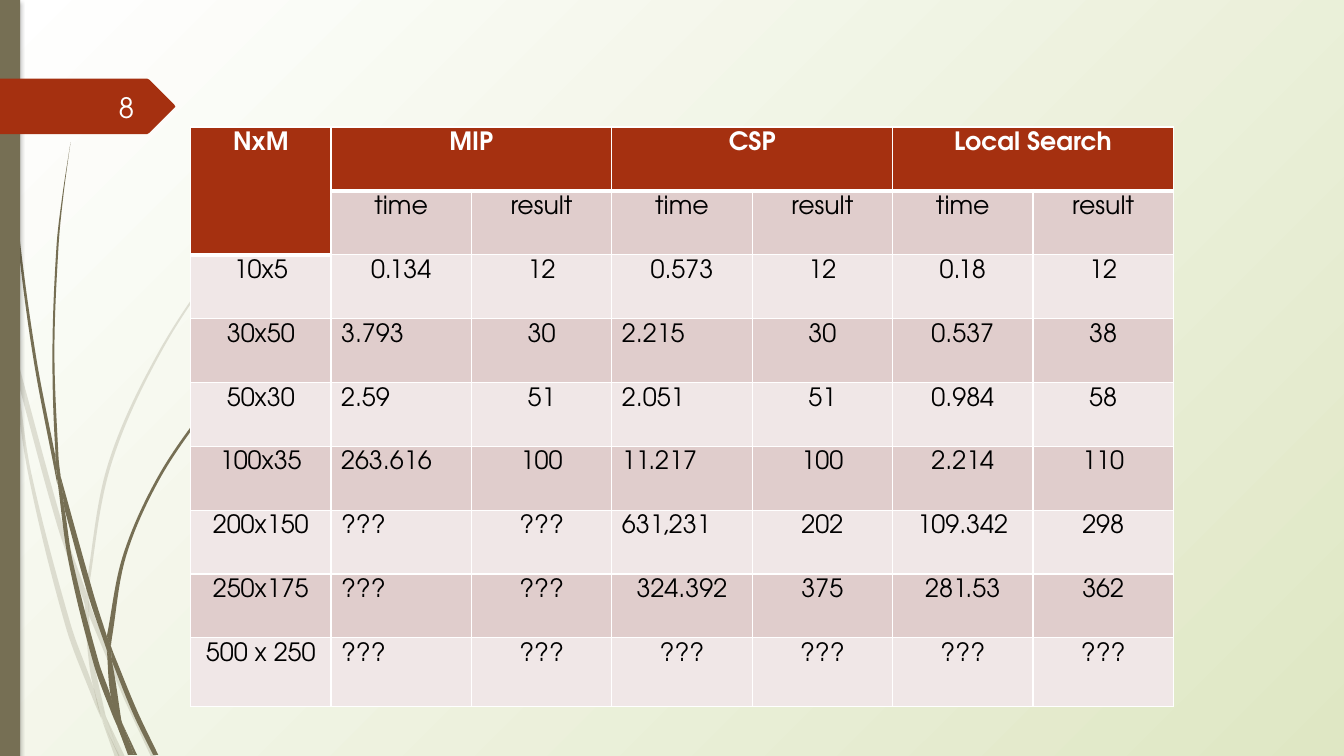
from dataclasses import dataclass
from math import dist

from lxml import etree
from pptx import Presentation
from pptx.dml.color import RGBColor
from pptx.enum.shapes import MSO_SHAPE
from pptx.enum.text import MSO_ANCHOR, PP_ALIGN
from pptx.oxml.ns import qn
from pptx.util import Inches, Pt

RECTANGLE = MSO_SHAPE.RECTANGLE
MIDDLE = MSO_ANCHOR.MIDDLE
LEFT, CENTER, RIGHT = PP_ALIGN.LEFT, PP_ALIGN.CENTER, PP_ALIGN.RIGHT

FONT = "TeX Gyre Adventor"
OLIVE, RUST, WHITE, BLACK = "766F54", "A53010", "FFFFFF", "000000"
BANDS = ("F0E7E7", "E0CDCC")
THIN, THICK = 0.96, 3

Point = tuple[float, float]
Edge = list[Point]


@dataclass
class Stem:
    up: Edge
    down: Edge


PALE_STEMS = [
    Stem([(0.11, 3.5), (0.08, 3.22), (0, 2.82)], [(0, 2.99), (0.1, 3.44), (0.11, 3.5)]),
    Stem([(0.85, 5.86), (0.62, 5.2), (0.14, 3.45)], [(0.17, 3.76), (0.57, 5.22), (0.84, 5.99)]),
    Stem([(1.55, 7.51), (1.27, 6.91), (0.92, 6.07), (0.88, 5.96)],
         [(0.88, 6.1), (1.23, 6.93), (1.5, 7.51)]),
    Stem([(1.24, 7.51), (1.05, 7.11)], [(1.05, 7.11), (1.19, 7.51)]),
    Stem([(1.01, 7.14), (0.93, 6.83), (0.7, 6.19), (0.31, 4.69), (0.17, 3.76), (0.11, 3.5)],
         [(0.11, 3.5), (0.28, 4.7), (0.65, 6.21), (0.92, 6.93), (1.01, 7.14)]),
    Stem([(1.05, 7.11), (0.91, 6.46), (0.88, 6.1), (0.84, 5.99)],
         [(0.84, 5.99), (0.87, 6.46), (0.93, 6.83), (1.05, 7.11)]),
    Stem([(0.88, 5.96), (0.88, 5.84), (1.1, 4.62), (1.6, 3.49), (2.29, 2.45), (2.68, 1.98),
          (3.12, 1.53)],
         [(3.12, 1.53), (2.68, 1.97), (2.28, 2.44), (1.58, 3.48), (1.07, 4.61), (0.85, 5.84)]),
    Stem([(1.19, 7.51), (1.01, 7.14)], [(1.01, 7.14), (1.14, 7.51)]),
    Stem([(0.88, 6.1), (0.88, 5.96), (0.85, 5.86)], [(0.84, 5.99), (0.88, 6.08)]),
    Stem([(1.19, 7.51), (1.05, 7.11), (0.96, 6.92), (0.93, 6.83)],
         [(0.93, 6.83), (0.99, 7.07), (1.18, 7.51)]),
]
DARK_STEMS = [
    Stem([(0.55, 4.53), (0.36, 3.55), (0.19, 2.32), (0.08, 1.09), (0.05, 0.48), (0.04, 0)],
         [(0.03, 0), (0.04, 0.48), (0.07, 1.1), (0.17, 2.33), (0.33, 3.55), (0.56, 4.76),
          (0.57, 4.81)]),
    Stem([(1.06, 6.31), (0.93, 5.9), (0.6, 4.72)], [(0.64, 5.05), (0.88, 5.92), (1.06, 6.45)]),
    Stem([(1.57, 7.49), (1.36, 7.05), (1.13, 6.49), (1.1, 6.41)],
         [(1.11, 6.56), (1.32, 7.08), (1.52, 7.49)]),
    Stem([(1.16, 7.17), (1.1, 6.91), (0.98, 6.57), (0.72, 5.56), (0.64, 5.05), (0.57, 4.77)],
         [(0.57, 4.77), (0.68, 5.57), (0.93, 6.59), (1.11, 7.08), (1.17, 7.22)]),
    Stem([(0.6, 4.72), (0.58, 4.53), (0.54, 3.49), (0.58, 2.45), (0.63, 1.93), (0.7, 1.41)],
         [(0.7, 1.41), (0.62, 1.93), (0.56, 2.45), (0.52, 3.49), (0.55, 4.49), (0.6, 4.72)]),
    Stem([(1.36, 7.49), (1.22, 7.19)], [(1.22, 7.19), (1.33, 7.49)]),
    Stem([(0.64, 5.05), (0.6, 4.72), (0.55, 4.49)], [(0.55, 4.53), (0.57, 4.77), (0.64, 5.05)]),
    Stem([(1.1, 6.41), (1.11, 6.33), (1.25, 5.52), (1.58, 4.76), (2.05, 4.06), (2.31, 3.74),
          (2.61, 3.44)],
         [(2.6, 3.44), (2.31, 3.73), (2.03, 4.05), (1.56, 4.74), (1.22, 5.51), (1.06, 6.31)]),
    Stem([(1.31, 7.49), (1.17, 7.22)], [(1.17, 7.22), (1.27, 7.49)]),
    Stem([(1.21, 7.19), (1.11, 6.56), (1.06, 6.45)], [(1.06, 6.45), (1.1, 6.91), (1.21, 7.19)]),
    Stem([(1.11, 6.56), (1.1, 6.41), (1.06, 6.31)], [(1.06, 6.45), (1.11, 6.56)]),
    Stem([(1.33, 7.49), (1.22, 7.19), (1.1, 6.91)], [(1.1, 6.91), (1.17, 7.22), (1.3, 7.49)]),
]
PAGE_TAG = [(0, 0.78), (1.46, 0.78), (1.48, 0.79), (1.73, 1.04), (1.74, 1.06), (1.73, 1.07),
            (1.48, 1.32), (1.46, 1.33), (0, 1.33)]

RESULTS = [
    ["NxM", "MIP", "", "CSP", "", "Local Search", ""],
    ["", *["time", "result"] * 3],
    ["10x5", "0.134", "12", "0.573", "12", "0.18", "12"],
    ["30x50", "3.793", "30", "2.215", "30", "0.537", "38"],
    ["50x30", "2.59", "51", "2.051", "51", "0.984", "58"],
    ["100x35", "263.616", "100", "11.217", "100", "2.214", "110"],
    ["200x150", "???", "???", "631,231", "202", "109.342", "298"],
    ["250x175", "???", "???", "324.392", "375", "281.53", "362"],
    ["500 x 250", *["???"] * 6],
]
LEFT_ALIGNED_ROWS = {1: range(3, 9), 3: range(3, 7)}


def paint(fill, color: str, opacity: int = 100) -> None:
    fill.solid()
    fill.fore_color.rgb = RGBColor.from_string(color)
    if opacity < 100:
        color_element = fill._xPr.find(f".//{qn('a:srgbClr')}")
        etree.SubElement(color_element, qn("a:alpha")).set("val", str(opacity * 1000))


def add_text(text_frame, text: str, size: int, color: str, alignment, bold: bool = False) -> None:
    paragraph = text_frame.paragraphs[0]
    paragraph.alignment = alignment
    run = paragraph.add_run()
    run.text = text
    run.font.name = FONT
    run.font.size = Pt(size)
    run.font.bold = bold
    run.font.color.rgb = RGBColor.from_string(color)


def add_outline(slide, outline: Edge, color: str, opacity: int = 100):
    points = [(Inches(x), Inches(y)) for x, y in outline]
    builder = slide.shapes.build_freeform(*points[0])
    builder.add_line_segments(points[1:])
    shape = builder.convert_to_shape()
    shape.shadow.inherit = False
    paint(shape.fill, color, opacity)
    shape.line.fill.background()
    return shape


def control_point(origin: Point, start: Point, end: Point, length: float) -> Point:
    reach = length / 3 / max(dist(start, end), 0.01)
    return origin[0] + (end[0] - start[0]) * reach, origin[1] + (end[1] - start[1]) * reach


def add_stem(slide, stem: Stem, opacity: int) -> None:
    shape = add_outline(slide, stem.up + stem.down, OLIVE, opacity)
    segments = list(shape.element.find(f".//{qn('a:path')}"))
    first = 1
    for edge in (stem.up, stem.down):
        padded = [edge[0], *edge, edge[-1]]
        windows = zip(padded, padded[1:], padded[2:], padded[3:])
        for segment, (before, start, end, after) in zip(segments[first:], windows):
            length = dist(start, end)
            segment.tag = qn("a:cubicBezTo")
            controls = (control_point(start, before, end, length),
                        control_point(end, after, start, length))
            for index, (x, y) in enumerate(controls):
                point = etree.Element(qn("a:pt"))
                point.set("x", str(int(Inches(x) - shape.left)))
                point.set("y", str(int(Inches(y) - shape.top)))
                segment.insert(index, point)
        first += len(edge)


def set_background(slide) -> None:
    fill = slide.background.fill
    fill.gradient()
    for stop, color, position in zip(fill.gradient_stops, (WHITE, "DFE7C4"), (0, 1)):
        stop.color.rgb = RGBColor.from_string(color)
        stop.position = position
    gradient = slide.element.find(f".//{qn('a:gradFill')}")
    gradient.remove(gradient.find(qn("a:lin")))
    circle = etree.SubElement(gradient, qn("a:path"))
    circle.set("path", "circle")
    focus = etree.SubElement(circle, qn("a:fillToRect"))
    focus.set("r", "100000")
    focus.set("b", "100000")


def add_side_bar(slide) -> None:
    bar = slide.shapes.add_shape(RECTANGLE, 0, 0, Inches(0.2), Inches(7.5))
    bar.shadow.inherit = False
    paint(bar.fill, OLIVE)
    bar.line.fill.background()
    shadow = etree.SubElement(bar.element.spPr.find(qn("a:effectLst")), qn("a:outerShdw"))
    for name, value in (("blurRad", Pt(3)), ("dist", Pt(2)), ("dir", 90 * 60000)):
        shadow.set(name, str(int(value)))
    color = etree.SubElement(shadow, qn("a:srgbClr"))
    color.set("val", BLACK)
    etree.SubElement(color, qn("a:alpha")).set("val", "25000")


def set_borders(cell, top: float, bottom: float) -> None:
    properties = cell._tc.get_or_add_tcPr()
    widths = {"a:lnL": THIN, "a:lnR": THIN, "a:lnT": top, "a:lnB": bottom}
    for index, (tag, width) in enumerate(widths.items()):
        line = etree.Element(qn(tag))
        line.set("w", str(int(Pt(width))))
        fill = etree.SubElement(line, qn("a:solidFill"))
        etree.SubElement(fill, qn("a:srgbClr")).set("val", WHITE)
        properties.insert(index, line)


def add_results_table(slide) -> None:
    table = slide.shapes.add_table(len(RESULTS), len(RESULTS[0]), Inches(1.89), Inches(1.26),
                                   Inches(9.75), Inches(5.75)).table
    table.first_row = table.horz_banding = False
    for row in table.rows:
        row.height = Inches(5.07 / 8)
    table.rows[len(RESULTS) - 1].height = Inches(0.68)
    table.cell(0, 0).merge(table.cell(1, 0))
    for column in (1, 3, 5):
        table.cell(0, column).merge(table.cell(0, column + 1))
    for row, texts in enumerate(RESULTS):
        for column, text in enumerate(texts):
            cell = table.cell(row, column)
            header = row == 0
            paint(cell.fill, RUST if header else BANDS[row % 2])
            set_borders(cell, THICK if row == 1 else THIN, THICK if header else THIN)
            if text:
                alignment = LEFT if row in LEFT_ALIGNED_ROWS.get(column, ()) else CENTER
                add_text(cell.text_frame, text, 18, WHITE if header else BLACK, alignment, header)


def main() -> None:
    presentation = Presentation()
    presentation.slide_width, presentation.slide_height = Inches(13.33), Inches(7.5)
    slide = presentation.slides.add_slide(presentation.slide_layouts[6])
    set_background(slide)
    for stems, opacity in ((PALE_STEMS, 20), (DARK_STEMS, 100)):
        for stem in stems:
            add_stem(slide, stem, opacity)
    add_side_bar(slide)
    add_outline(slide, PAGE_TAG, RUST)
    add_results_table(slide)
    number = slide.shapes.add_textbox(Inches(0.58), Inches(0.86), Inches(0.85), Inches(0.4))
    number.text_frame.word_wrap = True
    number.text_frame.vertical_anchor = MIDDLE
    add_text(number.text_frame, "8", 20, "FEFFFF", RIGHT)
    presentation.save("out.pptx")


if __name__ == "__main__":
    main()
